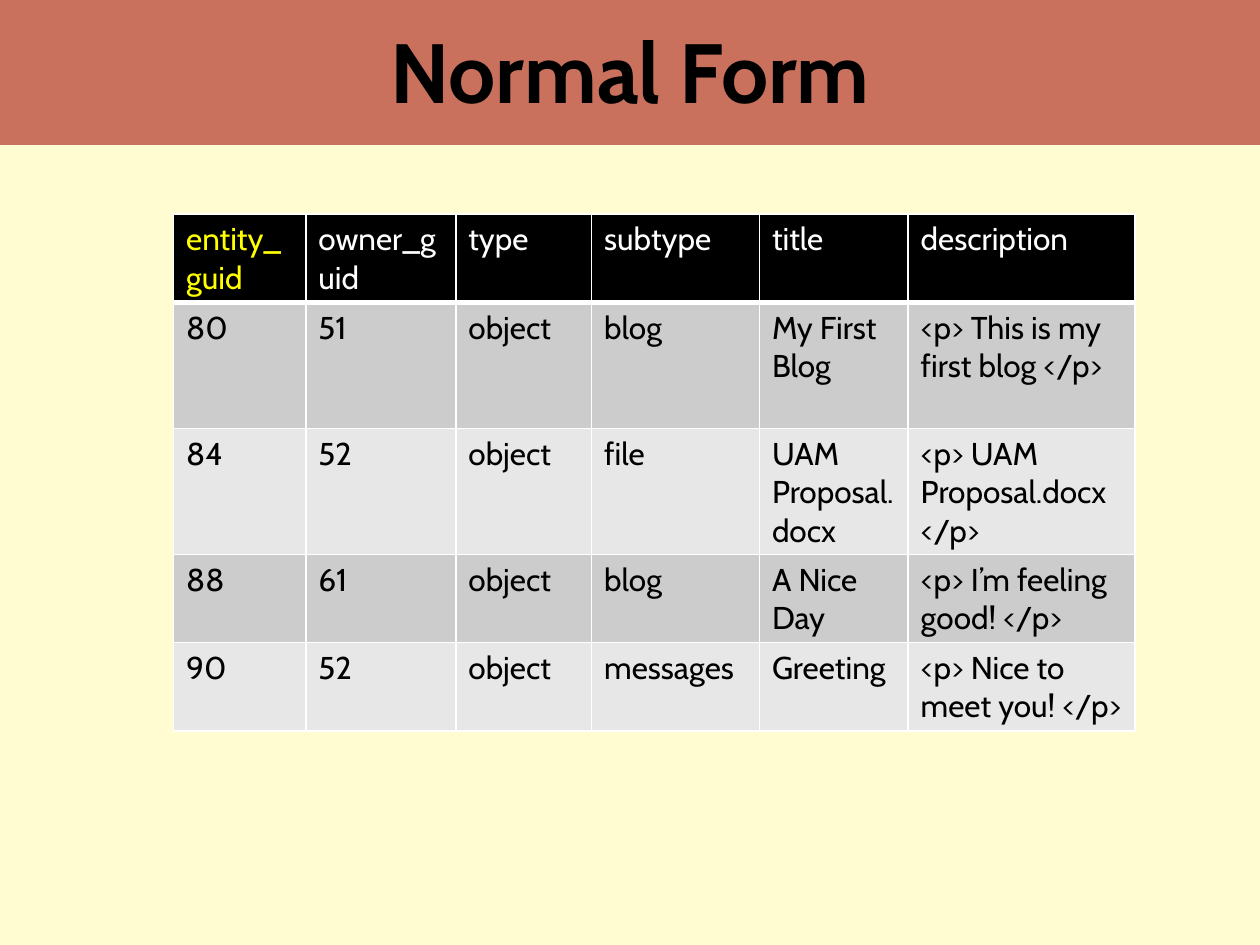
from lxml.etree import SubElement
from pptx import Presentation
from pptx.dml.color import RGBColor
from pptx.enum.shapes import MSO_SHAPE
from pptx.enum.text import MSO_ANCHOR, PP_ALIGN
from pptx.oxml.ns import qn
from pptx.util import Pt

FONT = "Cabin"
COLORS = {
    "background": "FFFCD1", "band": "CA715D", "header": "000000",
    "odd_row": "CCCCCC", "even_row": "E7E7E7", "border": "FFFFFF",
    "text": "000000", "header_text": "FFFFFF", "key_text": "FFFF00",
}
COLUMN_WIDTHS = [75.6, 85.7, 77.6, 95.9, 85, 129.6]
ROW_HEIGHTS = [50.3, 72, 72, 50.3, 50.3]
ENTITIES = [
    ["entity_guid", "owner_guid", "type", "subtype", "title", "description"],
    ["80", "51", "object", "blog", "My First Blog", "<p> This is my first blog </p>"],
    ["84", "52", "object", "file", "UAM Proposal.docx", "<p> UAM Proposal.docx </p>"],
    ["88", "61", "object", "blog", "A Nice Day", "<p> I’m feeling good! </p>"],
    ["90", "52", "object", "messages", "Greeting", "<p> Nice to meet you! </p>"],
]


def rgb(name):
    return RGBColor.from_string(COLORS[name])


def set_fill(fill, color):
    fill.solid()
    fill.fore_color.rgb = rgb(color)


def style_text(p, size, color, bold=False):
    for r in p.runs:
        r.font.name = FONT
        r.font.size = Pt(size)
        r.font.bold = bold
        r.font.color.rgb = rgb(color)


def set_borders(cell, bottom=1):
    tc_pr = cell._tc.get_or_add_tcPr()
    for side, width in (("L", 1), ("R", 1), ("T", 1), ("B", bottom)):
        ln = SubElement(tc_pr, qn(f"a:ln{side}"), w=str(Pt(width)))
        solid = SubElement(ln, qn("a:solidFill"))
        SubElement(solid, qn("a:srgbClr"), val=COLORS["border"])


def add_title_band(s, text, left, top, width, height):
    band = s.shapes.add_shape(MSO_SHAPE.RECTANGLE, Pt(left), Pt(top), Pt(width), Pt(height))
    band.shadow.inherit = False
    set_fill(band.fill, "band")
    band.line.fill.background()

    # Title, centred in the band
    margin = 37
    box = s.shapes.add_textbox(Pt(left + margin), Pt(top), Pt(width - 2 * margin), Pt(height - 3))
    tf = box.text_frame
    tf.word_wrap = True
    tf.vertical_anchor = MSO_ANCHOR.MIDDLE
    tf.text = text
    p = tf.paragraphs[0]
    p.alignment = PP_ALIGN.CENTER
    style_text(p, 48, "text", bold=True)


def add_entity_table(s, rows, left, top):
    frame = s.shapes.add_table(len(rows), len(rows[0]), Pt(left), Pt(top),
                               Pt(sum(COLUMN_WIDTHS)), Pt(sum(ROW_HEIGHTS)))
    table = frame.table
    for column, width in zip(table.columns, COLUMN_WIDTHS):
        column.width = Pt(width)
    for row, height in zip(table.rows, ROW_HEIGHTS):
        row.height = Pt(height)

    for i, values in enumerate(rows):
        for j, value in enumerate(values):
            cell = table.cell(i, j)
            if i == 0:
                fill, color = "header", "header_text" if j else "key_text"
            else:
                fill, color = "odd_row" if i % 2 else "even_row", "text"
            set_borders(cell, bottom=1 if i else 3)
            set_fill(cell.fill, fill)
            cell.text_frame.text = value
            style_text(cell.text_frame.paragraphs[0], 18, color)


def main():
    prs = Presentation()
    prs.slide_width, prs.slide_height = Pt(720), Pt(540)
    s = prs.slides.add_slide(prs.slide_layouts[6])
    set_fill(s.background.fill, "background")
    add_title_band(s, "Normal Form", 0, 0, 720, 82.8)
    add_entity_table(s, ENTITIES, 99.2, 122.4)
    prs.save("out.pptx")


if __name__ == "__main__":
    main()
